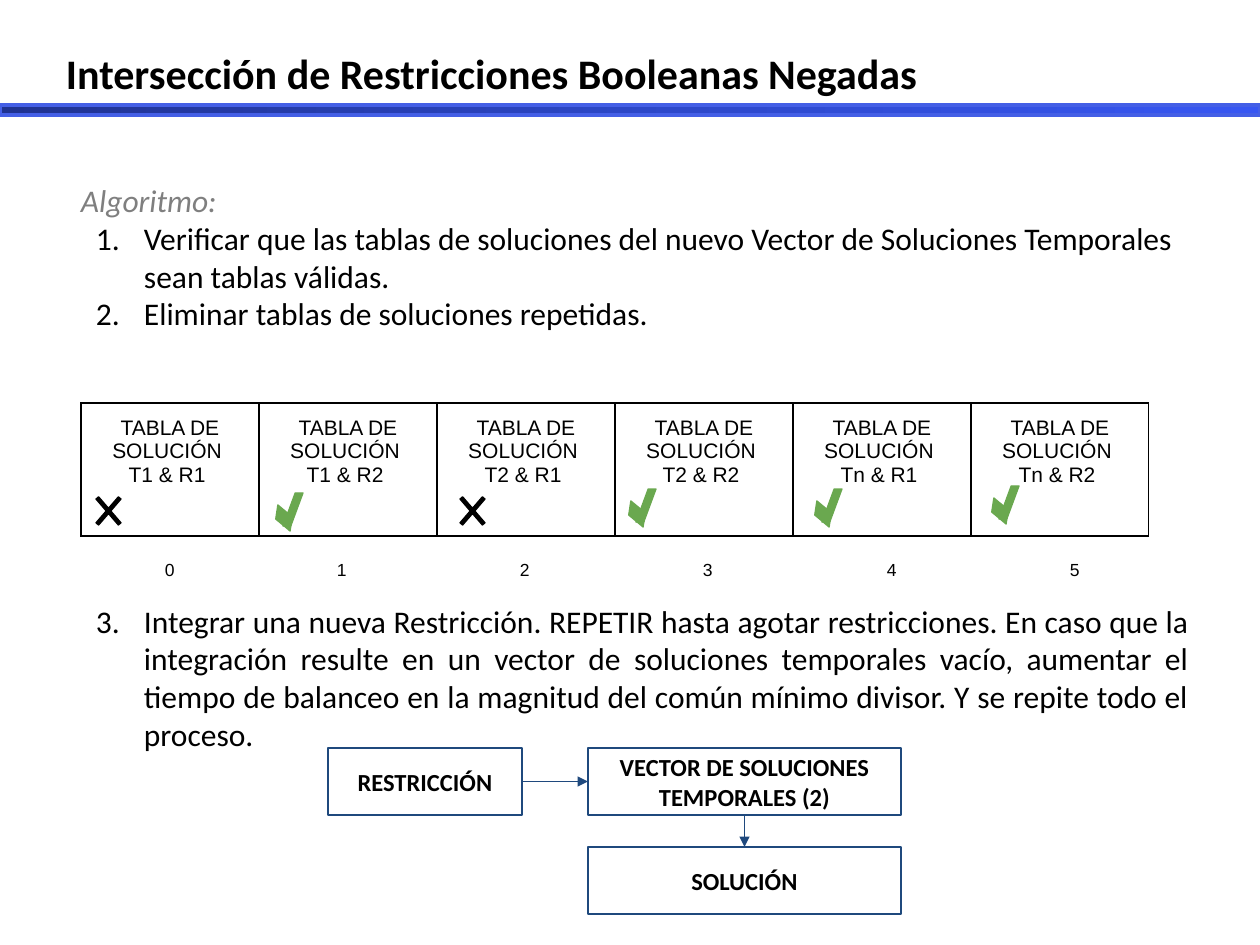
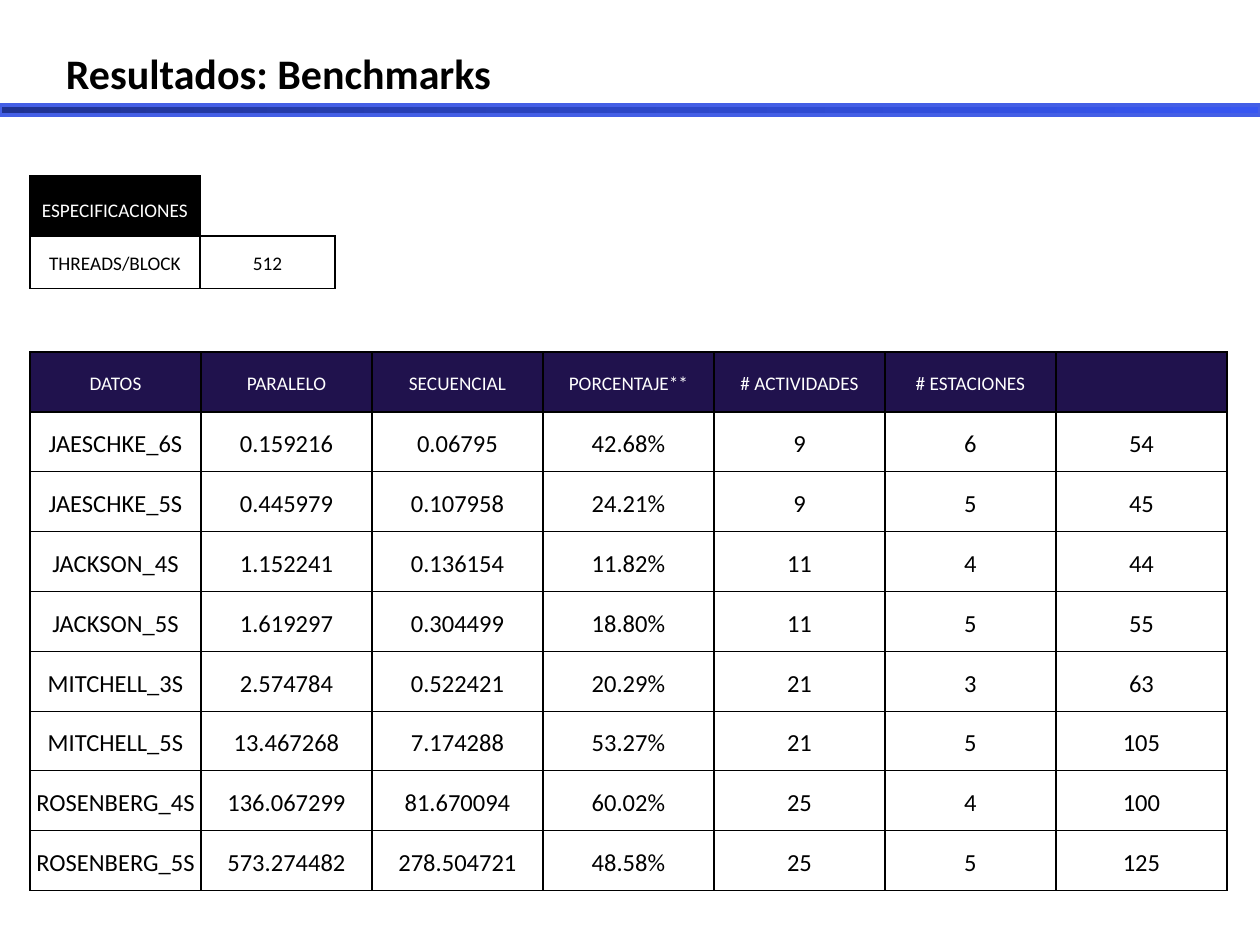
from copy import deepcopy

from lxml import etree
from pptx import Presentation
from pptx.dml.color import RGBColor
from pptx.enum.shapes import MSO_CONNECTOR, MSO_SHAPE
from pptx.enum.text import MSO_ANCHOR, PP_ALIGN
from pptx.oxml.ns import qn
from pptx.util import Pt

SCALE = 914400 / 126
RECT = MSO_SHAPE.RECTANGLE
SLANT = MSO_SHAPE.PARALLELOGRAM
TIMES = MSO_SHAPE.MATH_MULTIPLY
STRAIGHT = MSO_CONNECTOR.STRAIGHT
LEFT, CENTER, JUSTIFY = PP_ALIGN.LEFT, PP_ALIGN.CENTER, PP_ALIGN.JUSTIFY
TOP, MIDDLE, BOTTOM = MSO_ANCHOR.TOP, MSO_ANCHOR.MIDDLE, MSO_ANCHOR.BOTTOM

COLORS = {
    "black": "000000", "white": "FFFFFF", "gray": "7F7F7F",
    "navy": "20124D", "blue": "1F497D", "green": "6AA84F",
    "edge": "445FE6", "dark": "1F3291", "mid": "2D48CA", "light": "3756F2",
}
BAND = [(0, "dark"), (0.54, "mid"), (1, "light")]
NO_GRID = "{2D5ABB26-0587-4C30-8999-92F81FD0307C}"

# text, mark, offset of the mark in its cell, left of the index below
VECTOR = [
    ("T1 & R1 ", "cross", 6, 83, 71),
    ("T1 & R2 ", "tick", 13, 90, 243),
    ("T2 & R1 ", "cross", 14, 83, 426),
    ("T2 & R2 ", "tick", 10, 86, 609),
    ("Tn & R1 ", "tick", 18, 86, 793),
    ("Tn & R2 ", "tick", 17, 83, 976),
]
SPECS = [["ESPECIFICACIONES", ""], ["THREADS/BLOCK", "512"]]
HEADS = ["DATOS", "PARALELO", "SECUENCIAL", "PORCENTAJE**",
         "# ACTIVIDADES", "# ESTACIONES", ""]
RESULTS = [
    ["JAESCHKE_6S", "0.159216", "0.06795", "42.68%", "9", "6", "54"],
    ["JAESCHKE_5S", "0.445979", "0.107958", "24.21%", "9", "5", "45"],
    ["JACKSON_4S", "1.152241", "0.136154", "11.82%", "11", "4", "44"],
    ["JACKSON_5S", "1.619297", "0.304499", "18.80%", "11", "5", "55"],
    ["MITCHELL_3S", "2.574784", "0.522421", "20.29%", "21", "3", "63"],
    ["MITCHELL_5S", "13.467268", "7.174288", "53.27%", "21", "5", "105"],
    ["ROSENBERG_4S", "136.067299", "81.670094", "60.02%", "25", "4", "100"],
    ["ROSENBERG_5S", "573.274482", "278.504721", "48.58%", "25", "5", "125"],
]


def px(*sizes):
    return [round(size * SCALE) for size in sizes]


def rgb(name):
    return RGBColor.from_string(COLORS[name])


def write(box, *lines, font="Calibri", size=18, color="black", bold=False,
          italic=False, align=LEFT, anchor=TOP, pad=(13, 13), space=None):
    """Fill a text frame or table cell, one paragraph for each line."""
    box.margin_left = box.margin_right = px(pad[0])[0]
    box.margin_top = box.margin_bottom = px(pad[1])[0]
    box.vertical_anchor = anchor
    frame = getattr(box, "text_frame", box)
    frame.word_wrap = True
    for i, line in enumerate(lines):
        para = frame.add_paragraph() if i else frame.paragraphs[0]
        para.alignment = align
        if space:
            para.line_spacing = space
        run = para.add_run()
        run.text = line
        run.font.name, run.font.size = font, Pt(size)
        run.font.bold, run.font.italic = bold, italic
        run.font.color.rgb = rgb(color)
    return frame


def label(slide, box, *lines, **fmt):
    return write(slide.shapes.add_textbox(*px(*box)).text_frame, *lines, **fmt)


def draw(slide, kind, box, fill=None, line="black", width=0.75, adj=None, turn=0):
    shape = slide.shapes.add_shape(kind, *px(*box))
    shape.shadow.inherit = False
    if fill:
        shape.fill.solid()
        shape.fill.fore_color.rgb = rgb(fill)
    else:
        shape.fill.background()
    shape.line.color.rgb = rgb(line)
    shape.line.width = Pt(width)
    if adj:
        shape.adjustments[0] = adj
    shape.rotation = turn
    return shape


def number(para):
    """Make the paragraph an item of a numbered list."""
    props = para._p.get_or_add_pPr()
    left, hang = px(63, -48)
    props.set("marL", str(left))
    props.set("indent", str(hang))
    tint = etree.SubElement(props, qn("a:buClr"))
    etree.SubElement(tint, qn("a:srgbClr"), val=COLORS["black"])
    etree.SubElement(props, qn("a:buFont"), typeface="Calibri")
    etree.SubElement(props, qn("a:buAutoNum"), type="arabicPeriod")


def edge(cell):
    """Draw all four borders of a cell, below its fill in schema order."""
    props = cell._tc.get_or_add_tcPr()
    for i, side in enumerate(("lnL", "lnR", "lnT", "lnB")):
        line = etree.Element(qn(f"a:{side}"), w=str(Pt(0.75)))
        fill = etree.SubElement(line, qn("a:solidFill"))
        etree.SubElement(fill, qn("a:srgbClr"), val=COLORS["black"])
        props.insert(i, line)


def grid(slide, left, top, cols, rows):
    """Add a plain table with the given column widths and row heights."""
    box = px(left, top, sum(cols), sum(rows))
    table = slide.shapes.add_table(len(rows), len(cols), *box).table
    table.first_row = table.horz_banding = False
    table._tbl.tblPr.find(qn("a:tableStyleId")).text = NO_GRID
    for col, width in zip(table.columns, px(*cols)):
        col.width = width
    for row, height in zip(table.rows, px(*rows)):
        row.height = height
    return table


def put(cell, text, fill=None, **fmt):
    """Write one centred data cell; an empty one gets no padding."""
    write(cell, text, align=CENTER, pad=(4, 13 if text else 0), space=1.15, **fmt)
    if fill:
        cell.fill.solid()
        cell.fill.fore_color.rgb = rgb(fill)
    else:
        cell.fill.background()
    if text or fill:
        edge(cell)


def start(deck, title):
    """Add a slide with the shared title and gradient band."""
    slide = deck.slides.add_slide(deck.slide_layouts[6])
    label(slide, (53, 42, 1124, 63), title, size=24, bold=True,
          align=JUSTIFY, pad=(13, 6))
    band = draw(slide, RECT, (0, 105, 1260, 10), line="edge", width=2)
    band.fill.gradient()
    band.fill.gradient_angle = 0
    stops = band._element.spPr.find(".//" + qn("a:gsLst"))
    stops.insert(1, deepcopy(stops[0]))
    for stop, (place, name) in zip(band.fill.gradient_stops, BAND):
        stop.position = place
        stop.color.rgb = rgb(name)
    return slide


def steps(slide, box):
    frame = label(
        slide, box, "Algoritmo:",
        "Verificar que las tablas de soluciones del nuevo Vector de Soluciones "
        "Temporales sean tablas válidas.",
        "Eliminar tablas de soluciones repetidas.",
        "Integrar una nueva Restricción. REPETIR hasta agotar restricciones. "
        "En caso que la integración resulte en un vector de soluciones "
        "temporales vacío, aumentar el tiempo de balanceo en la magnitud del "
        "común mínimo divisor. Y se repite todo el proceso.")
    frame.margin_top = px(44)[0]
    head, *items = frame.paragraphs
    head.runs[0].font.italic = True
    head.runs[0].font.color.rgb = rgb("gray")
    items[-1].space_before = Pt(154)
    items[-1].alignment = JUSTIFY
    for item in items:
        number(item)


def tick(slide, left, top):
    look = dict(fill="green", line="green", adj=0.609)
    draw(slide, SLANT, (left + 11, top, 20, 33), **look)
    draw(slide, SLANT, (left, top + 17, 24, 16), turn=98.5, **look)


def cross(slide, left, top):
    draw(slide, TIMES, (left, top, 43, 50), fill="black", adj=0.081)


def vector(slide, left, top, wide=178, high=133):
    """Draw the row of solution tables with marks and indexes."""
    table = grid(slide, left, top, [wide] * len(VECTOR), [high])
    marks = {"tick": tick, "cross": cross}
    for i, (pair, mark, dx, dy, spot) in enumerate(VECTOR):
        cell = table.cell(0, i)
        write(cell, "TABLA DE SOLUCIÓN ", pair, font="Arial", size=12, align=CENTER)
        cell.fill.background()
        edge(cell)
        marks[mark](slide, left + i * wide + dx, top + dy)
        label(slide, (left + spot, top + 145, 38, 39), str(i),
              font="Arial", size=10)


def join(slide, one, out, two, into):
    """Link two boxes with an arrow between the given sides."""
    line = slide.shapes.add_connector(STRAIGHT, 0, 0, 0, 0)
    line.begin_connect(one, out)
    line.end_connect(two, into)
    line.line.color.rgb = rgb("blue")
    line.line.width = Pt(0.75)
    props = line._element.spPr
    etree.SubElement(props.find(qn("a:ln")), qn("a:tailEnd"), type="triangle")
    etree.SubElement(props, qn("a:effectLst"))


def flow(slide, left, top, high=67):
    def node(text, dx, dy, wide):
        shape = draw(slide, RECT, (left + dx, top + dy, wide, high), line="blue")
        write(shape.text_frame, text, size=14, bold=True, align=CENTER, anchor=MIDDLE)
        return shape

    rule = node("RESTRICCIÓN", 0, 0, 194)
    temp = node("VECTOR DE SOLUCIONES TEMPORALES (2)", 260, 0, 313)
    goal = node("SOLUCIÓN", 260, 99, 313)
    join(slide, rule, 3, temp, 1)
    join(slide, temp, 2, goal, 0)


def specs(slide, left, top):
    table = grid(slide, left, top, [170, 135], [60, 52])
    for r, row in enumerate(SPECS):
        for c, text in enumerate(row):
            head = r == c == 0
            put(table.cell(r, c), text, fill="black" if head else None, size=11,
                color="white" if head else "black", anchor=BOTTOM)


def results(slide, left, top):
    table = grid(slide, left, top, [171] * len(HEADS), [60] + [59] * len(RESULTS))
    for c, text in enumerate(HEADS):
        put(table.cell(0, c), text, fill="navy", size=11, color="white", anchor=MIDDLE)
    for r, row in enumerate(RESULTS, 1):
        for c, text in enumerate(row):
            put(table.cell(r, c), text, size=14, anchor=BOTTOM)


def main():
    deck = Presentation()
    deck.slide_width, deck.slide_height = px(1260, 945)
    slide = start(deck, "Intersección de Restricciones Booleanas Negadas")
    steps(slide, (68, 137, 1134, 242))
    vector(slide, 81, 403)
    flow(slide, 328, 748)
    slide = start(deck, "Resultados: Benchmarks")
    specs(slide, 30, 176)
    results(slide, 30, 352)
    deck.save("out.pptx")


if __name__ == "__main__":
    main()
